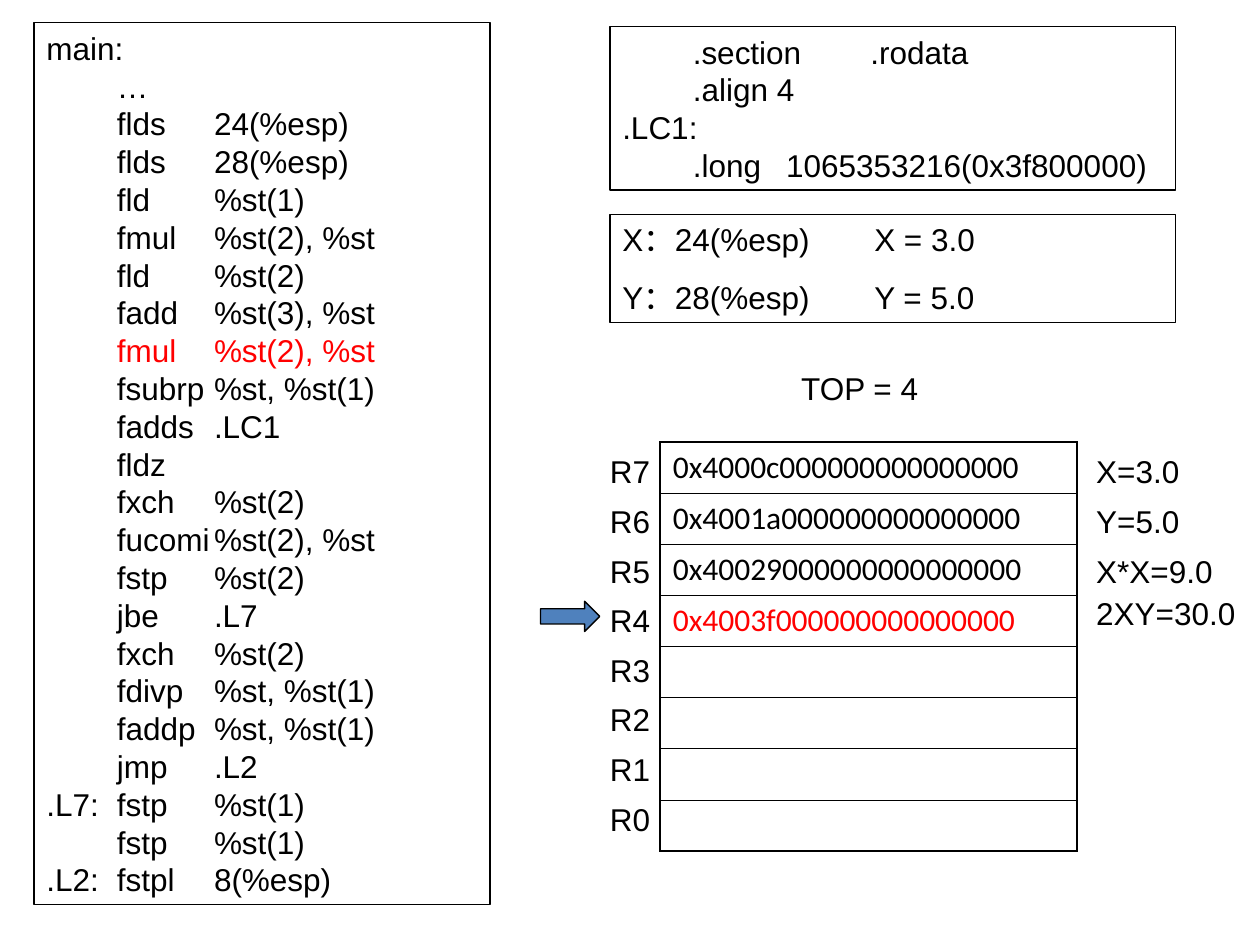
from pptx import Presentation
from pptx.dml.color import RGBColor
from pptx.enum.shapes import MSO_SHAPE
from pptx.enum.text import MSO_ANCHOR, PP_ALIGN
from pptx.oxml.xmlchemy import OxmlElement
from pptx.util import Inches, Pt

RECT, ARROW = MSO_SHAPE.RECTANGLE, MSO_SHAPE.RIGHT_ARROW
TOP, LEFT = MSO_ANCHOR.TOP, PP_ALIGN.LEFT

THEME = {
    "ink": RGBColor(0, 0, 0),
    "accent": RGBColor(0xFF, 0, 0),
    "arrow": RGBColor(0x4F, 0x81, 0xBD),
    "font": "Arial",
    "table_font": "Calibri",
    "size": Pt(18),
    "line": Pt(0.75),
    "inner": Pt(0.45),
    "outer": Pt(1.08),
}

# Content: (label, instruction, operands)
CODE = [
    ("main:",), ("", "…"),
    ("", "flds", "24(%esp)"), ("", "flds", "28(%esp)"),
    ("", "fld", "%st(1)"), ("", "fmul", "%st(2), %st"),
    ("", "fld", "%st(2)"), ("", "fadd", "%st(3), %st"),
    ("", "fmul", "%st(2), %st"), ("", "fsubrp", "%st, %st(1)"),
    ("", "fadds", ".LC1"), ("", "fldz"),
    ("", "fxch", "%st(2)"), ("", "fucomi", "%st(2), %st"),
    ("", "fstp", "%st(2)"), ("", "jbe", ".L7"),
    ("", "fxch", "%st(2)"), ("", "fdivp", "%st, %st(1)"),
    ("", "faddp", "%st, %st(1)"), ("", "jmp", ".L2"),
    (".L7:", "fstp", "%st(1)"), ("", "fstp", "%st(1)"),
    (".L2:", "fstpl", "8(%esp)"),
]
CURRENT_LINE = 8
RODATA = [
    ("", ".section", ".rodata"), ("", ".align 4"),
    (".LC1:",), ("", ".long", "1065353216(0x3f800000)"),
]
VARIABLES = [("X：24(%esp)", "X = 3.0"), ("Y：28(%esp)", "Y = 5.0")]
REGISTERS = ["R7", "R6", "R5", "R4", "R3", "R2", "R1", "R0"]
VALUES = ["0x4000c000000000000000", "0x4001a000000000000000",
          "0x40029000000000000000", "0x4003f000000000000000"]
CURRENT_ROW = 3
# Meaning of each value: (text, width, shift from its row)
NOTES = [("X=3.0", 0.79, 0), ("Y=5.0", 0.71, 0),
         ("X*X=9.0", 1.02, 0), ("2XY=30.0", 1.3, -0.06)]

LABEL_TOP, LABEL_STEP, LABEL_H = 3.59, 0.394, 0.3


def format_runs(p, color="ink", font="font"):
    for r in p.runs:
        r.font.name = THEME[font]
        r.font.size = THEME["size"]
        r.font.color.rgb = THEME[color]


def set_tabs(p, stops):
    tabs = OxmlElement("a:tabLst")
    for stop in stops:
        tab = OxmlElement("a:tab")
        tab.set("pos", str(Inches(stop)))
        tab.set("algn", "l")
        tabs.append(tab)
    p._p.get_or_add_pPr().append(tabs)


def add_box(box, lines, stops, gap=0, current=None):
    """Outlined box whose columns sit on tab stops."""
    s = slide.shapes.add_shape(RECT, *map(Inches, box))
    s.shadow.inherit = False
    s.fill.background()
    s.line.color.rgb = THEME["ink"]
    s.line.width = THEME["line"]
    tf = s.text_frame
    tf.word_wrap = True
    tf.vertical_anchor = TOP
    for i, columns in enumerate(lines):
        p = tf.add_paragraph() if i else tf.paragraphs[0]
        p.text = "\t".join(columns)
        p.alignment = LEFT
        p.space_before = Pt(gap)
        set_tabs(p, stops)
        format_runs(p, "accent" if i == current else "ink")


def add_label(box, text, inset=0):
    tf = slide.shapes.add_textbox(*map(Inches, box)).text_frame
    tf.word_wrap = True
    tf.margin_left = tf.margin_right = Inches(inset)
    tf.margin_top = tf.margin_bottom = Inches(inset / 2)
    tf.text = text
    format_runs(tf.paragraphs[0])


def set_borders(cell, first, last):
    widths = {"L": "outer", "R": "outer",
              "T": "outer" if first else "inner",
              "B": "outer" if last else "inner"}
    tcPr = cell._tc.get_or_add_tcPr()
    for i, (side, width) in enumerate(widths.items()):
        ln = OxmlElement(f"a:ln{side}")
        ln.set("w", str(THEME[width]))
        fill = OxmlElement("a:solidFill")
        color = OxmlElement("a:srgbClr")
        color.set("val", str(THEME["ink"]))
        fill.append(color)
        ln.append(fill)
        tcPr.insert(i, ln)


prs = Presentation()
prs.slide_width, prs.slide_height = Inches(10), Inches(7.5)
slide = prs.slides.add_slide(prs.slide_layouts[6])

# Assembly listing, constant data and variables
add_box((0.27, 0.18, 3.62, 7), CODE, (0.56, 1.33), current=CURRENT_LINE)
add_box((4.84, 0.21, 4.49, 1.3), RODATA, (0.56, 1.3, 1.97))
add_box((4.84, 1.7, 4.49, 0.86), VARIABLES, (2,), gap=11.2)

# Register stack
table = slide.shapes.add_table(len(REGISTERS), 1, Inches(5.24), Inches(3.51),
                               Inches(3.31), Inches(3.2)).table
table.first_row = table.horz_banding = False
for i, register in enumerate(REGISTERS):
    cell = table.cell(i, 0)
    cell.fill.background()
    set_borders(cell, i == 0, i == len(REGISTERS) - 1)
    if i < len(VALUES):
        cell.text_frame.text = VALUES[i]
        format_runs(cell.text_frame.paragraphs[0],
                    "accent" if i == CURRENT_ROW else "ink", "table_font")
    add_label((4.84, LABEL_TOP + i * LABEL_STEP, 0.39, LABEL_H), register)

# Meaning of the values
for i, (text, width, shift) in enumerate(NOTES):
    add_label((8.7, LABEL_TOP + i * LABEL_STEP + shift, width, LABEL_H), text)

# Stack top and its pointer
add_label((6.26, 2.88, 1.18, 0.4), "TOP = 4", inset=0.1)
pointer = slide.shapes.add_shape(
    ARROW, Inches(4.29), Inches(LABEL_TOP + CURRENT_ROW * LABEL_STEP),
    Inches(0.47), Inches(0.24))
pointer.shadow.inherit = False
pointer.fill.solid()
pointer.fill.fore_color.rgb = THEME["arrow"]
pointer.line.color.rgb = THEME["ink"]
pointer.line.width = THEME["line"]

prs.save("out.pptx")
